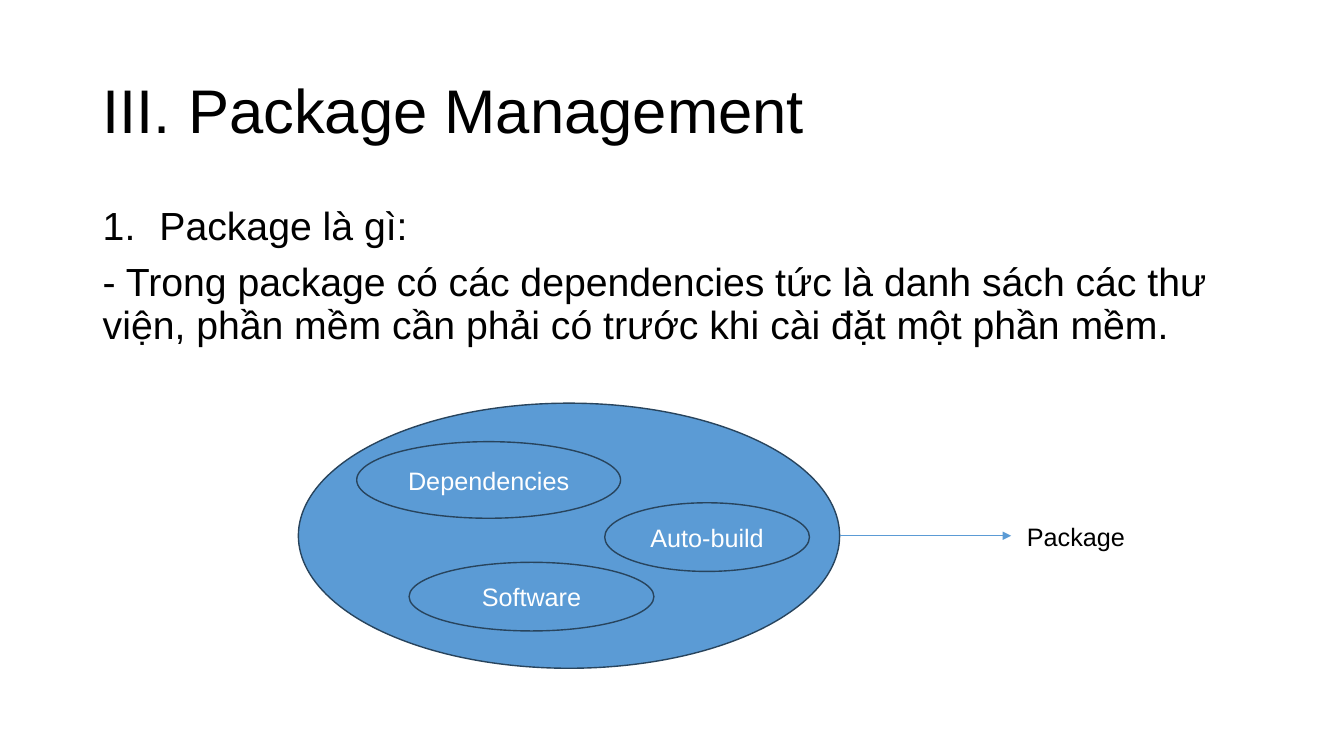
from dataclasses import dataclass

from lxml.etree import SubElement
from pptx import Presentation
from pptx.dml.color import RGBColor
from pptx.enum.shapes import MSO_CONNECTOR, MSO_SHAPE
from pptx.enum.text import MSO_ANCHOR, PP_ALIGN
from pptx.oxml.ns import qn
from pptx.slide import Slide
from pptx.text.text import TextFrame, _Paragraph
from pptx.util import Cm, Pt


@dataclass(frozen=True)
class Theme:
    font: str = "Arial"
    ink: RGBColor = RGBColor(0x00, 0x00, 0x00)
    light: RGBColor = RGBColor(0xFF, 0xFF, 0xFF)
    fill: RGBColor = RGBColor(0x5B, 0x9B, 0xD5)
    edge: RGBColor = RGBColor(0x28, 0x44, 0x5D)
    title: int = 44
    body: int = 28
    label: int = 18


@dataclass(frozen=True)
class Box:
    left: float
    top: float
    width: float
    height: float

    @property
    def right(self) -> float:
        return self.left + self.width

    @property
    def middle(self) -> float:
        return self.top + self.height / 2

    def place(self) -> tuple[Cm, Cm, Cm, Cm]:
        return Cm(self.left), Cm(self.top), Cm(self.width), Cm(self.height)


@dataclass(frozen=True)
class Oval:
    box: Box
    text: str = ""


THEME = Theme()
TITLE = Box(2.34, 1.02, 29.21, 3.68)
BODY = Box(2.34, 5.08, 29.21, 12.09)
PACKAGE = Oval(Box(7.52, 10.16, 13.64, 6.68))
PARTS = (
    Oval(Box(8.99, 11.13, 6.65, 1.93), "Dependencies"),
    Oval(Box(10.31, 14.17, 6.17, 1.73), "Software"),
    Oval(Box(15.24, 12.67, 5.16, 1.73), "Auto-build"),
)
LABEL = Box(25.63, 13.0, 3.53, 1.02)
TIP = 25.48


def add_run(para: _Paragraph, text: str, size: int, color: RGBColor = THEME.ink) -> None:
    run = para.add_run()
    run.text = text
    run.font.name = THEME.font
    run.font.size = Pt(size)
    run.font.color.rgb = color


def add_text(slide: Slide, box: Box) -> TextFrame:
    frame = slide.shapes.add_textbox(*box.place()).text_frame
    frame.word_wrap = True
    return frame


def number(para: _Paragraph) -> None:
    """Number the paragraph with a hanging indent."""
    props = para._p.get_or_add_pPr()
    indent = Cm(1.43)
    props.set("marL", str(indent))
    props.set("indent", str(-indent))
    SubElement(props, qn("a:buFont"), typeface=THEME.font)
    SubElement(props, qn("a:buAutoNum"), type="arabicPeriod")


def add_title(slide: Slide) -> None:
    frame = add_text(slide, TITLE)
    frame.vertical_anchor = MSO_ANCHOR.MIDDLE
    para = frame.paragraphs[0]
    para.line_spacing = 0.9
    add_run(para, "III. Package Management", THEME.title)


def add_body(slide: Slide) -> None:
    frame = add_text(slide, BODY)
    head, detail = frame.paragraphs[0], frame.add_paragraph()
    for para in (head, detail):
        para.line_spacing = 0.9
        para.space_before = Pt(10)
    number(head)
    add_run(head, "Package là gì:", THEME.body)
    add_run(
        detail,
        "- Trong package có các dependencies tức là danh sách các thư viện, "
        "phần mềm cần phải có trước khi cài đặt một phần mềm.",
        THEME.body,
    )


def add_oval(slide: Slide, oval: Oval) -> None:
    shape = slide.shapes.add_shape(MSO_SHAPE.OVAL, *oval.box.place())
    shape.shadow.inherit = False
    shape.fill.solid()
    shape.fill.fore_color.rgb = THEME.fill
    shape.line.color.rgb = THEME.edge
    shape.line.width = Pt(1)
    if oval.text:
        frame = shape.text_frame
        frame.vertical_anchor = MSO_ANCHOR.MIDDLE
        para = frame.paragraphs[0]
        para.alignment = PP_ALIGN.CENTER
        add_run(para, oval.text, THEME.label, THEME.light)


def add_arrow(slide: Slide, start: float, end: float, level: float) -> None:
    arrow = slide.shapes.add_connector(
        MSO_CONNECTOR.STRAIGHT, Cm(start), Cm(level), Cm(end), Cm(level)
    )
    arrow.line.color.rgb = THEME.fill
    arrow.line.width = Pt(0.5)
    SubElement(arrow.line._get_or_add_ln(), qn("a:tailEnd"), type="triangle")
    SubElement(arrow._element.spPr, qn("a:effectLst"))


def main() -> None:
    deck = Presentation()
    deck.slide_width, deck.slide_height = Cm(33.87), Cm(19.05)
    slide = deck.slides.add_slide(deck.slide_layouts[6])
    add_title(slide)
    add_body(slide)
    for oval in (PACKAGE, *PARTS):
        add_oval(slide, oval)
    add_arrow(slide, PACKAGE.box.right, TIP, PACKAGE.box.middle)
    label = add_text(slide, LABEL)
    add_run(label.paragraphs[0], "Package", THEME.label)
    deck.save("out.pptx")


if __name__ == "__main__":
    main()
